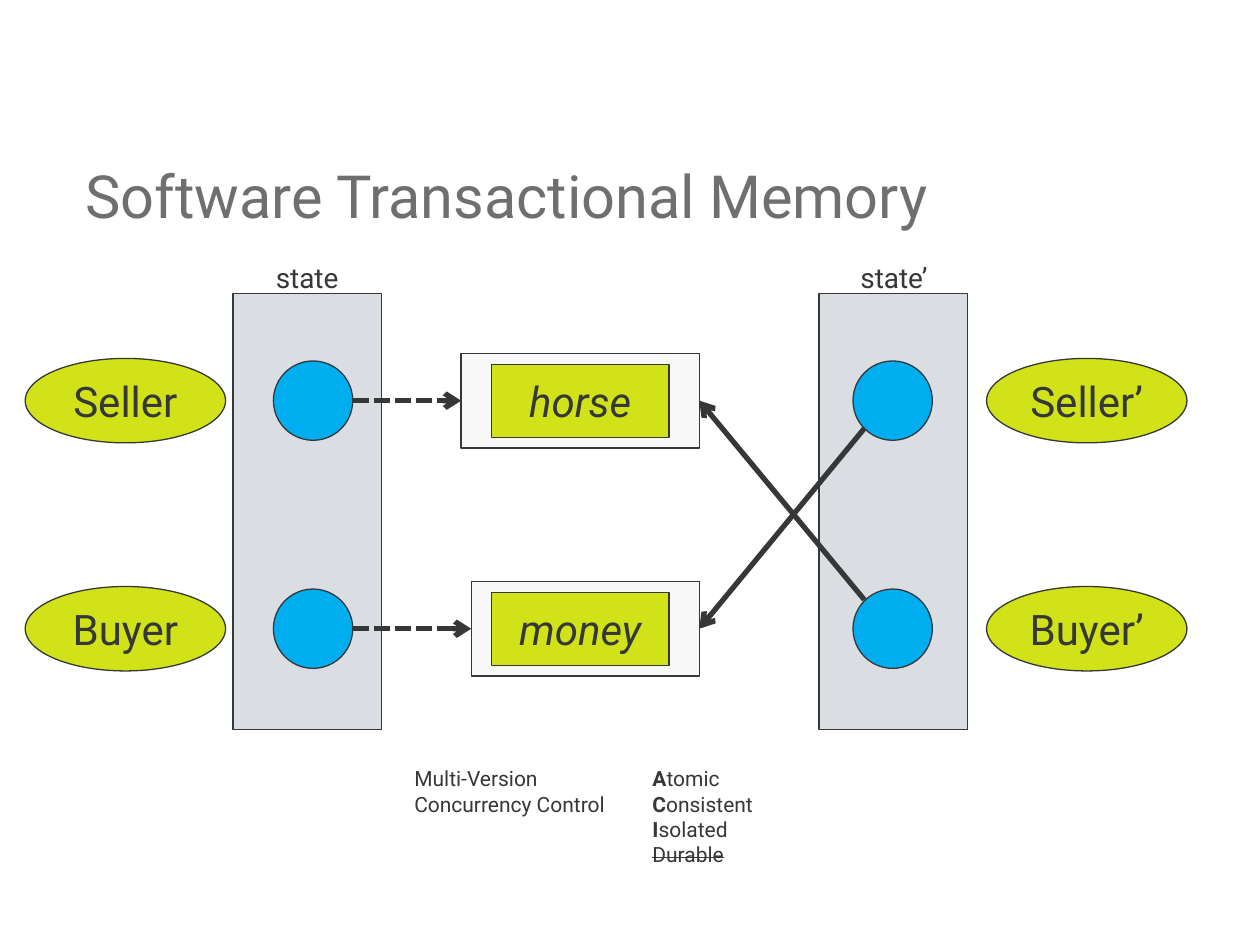
from lxml import etree
from pptx import Presentation
from pptx.dml.color import RGBColor
from pptx.enum.dml import MSO_LINE
from pptx.enum.shapes import MSO_CONNECTOR, MSO_SHAPE
from pptx.enum.text import MSO_ANCHOR, PP_ALIGN
from pptx.oxml.ns import qn
from pptx.util import Inches, Pt

RECT, OVAL = MSO_SHAPE.RECTANGLE, MSO_SHAPE.OVAL
STRAIGHT = MSO_CONNECTOR.STRAIGHT
DASH = MSO_LINE.SQUARE_DOT
MIDDLE, TOP = MSO_ANCHOR.MIDDLE, MSO_ANCHOR.TOP
CENTER = PP_ALIGN.CENTER

COLORS = {
    "ink": "363738", "title": "6D6F71", "panel": "DADEE2",
    "frame": "F8F8F9", "lime": "D1E318", "blue": "00ADEF",
}


class Diagram:
    """Holds the style and the slide being drawn."""

    font = "Roboto"

    def __init__(self, slide):
        self.slide = slide

    def color(self, name):
        return RGBColor.from_string(COLORS[name])

    def style(self, paragraph, size, color="ink"):
        paragraph.font.name = self.font
        paragraph.font.size = Pt(size)
        paragraph.font.color.rgb = self.color(color)

    def shape(self, kind, left, top, width, height, fill, text="", italic=False):
        shape = self.slide.shapes.add_shape(
            kind, Inches(left), Inches(top), Inches(width), Inches(height))
        shape.shadow.inherit = False
        shape.fill.solid()
        shape.fill.fore_color.rgb = self.color(fill)
        shape.line.color.rgb = self.color("ink")
        shape.line.width = Pt(0.75)
        if text:
            frame = shape.text_frame
            frame.margin_left = frame.margin_right = 0
            frame.vertical_anchor = MIDDLE
            paragraph = frame.paragraphs[0]
            paragraph.text = text
            paragraph.alignment = CENTER
            self.style(paragraph, 24)
            paragraph.font.italic = italic

    def text(self, left, top, width, height, lines, size,
             color="ink", anchor=TOP, wrap=True):
        """Each line is a list of (text, mark) runs; mark is "", "bold" or "strike"."""
        box = self.slide.shapes.add_textbox(
            Inches(left), Inches(top), Inches(width), Inches(height))
        frame = box.text_frame
        frame.word_wrap = wrap
        frame.vertical_anchor = anchor
        for i, line in enumerate(lines):
            paragraph = frame.add_paragraph() if i else frame.paragraphs[0]
            self.style(paragraph, size, color)
            for words, mark in line:
                run = paragraph.add_run()
                run.text = words
                if mark == "bold":
                    run.font.bold = True
                elif mark == "strike":
                    run._r.get_or_add_rPr().set("strike", "sngStrike")

    def arrow(self, x1, y1, x2, y2, dashed=False):
        arrow = self.slide.shapes.add_connector(
            STRAIGHT, Inches(x1), Inches(y1), Inches(x2), Inches(y2))
        arrow.line.color.rgb = self.color("ink")
        arrow.line.width = Pt(3)
        if dashed:
            arrow.line.dash_style = DASH
        etree.SubElement(arrow.line._get_or_add_ln(), qn("a:tailEnd"), type="arrow")
        etree.SubElement(arrow._element.spPr, qn("a:effectLst"))


def main():
    prs = Presentation()
    prs.slide_width, prs.slide_height = Inches(10), Inches(7.5)
    diagram = Diagram(prs.slides.add_slide(prs.slide_layouts[6]))

    # Title
    diagram.text(0.58, 1.17, 8.67, 0.75, [[("Software Transactional Memory", "")]],
                 34, color="title", anchor=MIDDLE)

    seller_y, buyer_y = 3.18, 4.99
    oval_w, oval_h, dot, card_w, card_h = 1.59, 0.67, 0.63, 1.41, 0.58
    frame_right, frame_h = 5.55, 0.75

    # State panels before and after the transaction
    for panel_x, label, label_x, label_w in ((1.85, "state", 2.09, 0.72),
                                             (6.5, "state’", 6.73, 0.78)):
        diagram.shape(RECT, panel_x, 2.33, 1.18, 3.46, "panel")
        diagram.text(label_x, 2.02, label_w, 0.37, [[(label, "")]], 16, wrap=False)

    # One row per party: its value, references and names
    for y, party, value, frame_x in ((seller_y, "Seller", "horse", 3.66),
                                     (buyer_y, "Buyer", "money", 3.74)):
        diagram.shape(RECT, frame_x, y - frame_h / 2, frame_right - frame_x, frame_h, "frame")
        diagram.shape(RECT, 3.9, y - card_h / 2, card_w, card_h, "lime", value, italic=True)
        for oval_x, dot_x, prime in ((0.2, 2.17, ""), (7.83, 6.77, "’")):
            diagram.shape(OVAL, oval_x, y - oval_h / 2, oval_w, oval_h, "lime", party + prime)
            diagram.shape(OVAL, dot_x, y - dot / 2, dot, dot, "blue")
        diagram.arrow(2.8, y, frame_x, y, dashed=True)

    # Swapped references after the transaction
    diagram.arrow(6.86, 3.4, frame_right, buyer_y)
    diagram.arrow(6.86, 4.76, frame_right, seller_y)

    # Notes on the method
    diagram.text(3.19, 6.03, 1.73, 0.5,
                 [[("Multi-Version", "")], [("Concurrency Control", "")]], 12)
    acid = [[(word[0], "bold"), (word[1:], "")]
            for word in ("Atomic", "Consistent", "Isolated")]
    diagram.text(5.08, 6.03, 1.57, 0.91, acid + [[("Durable", "strike")]], 12)

    prs.save("out.pptx")


if __name__ == "__main__":
    main()
